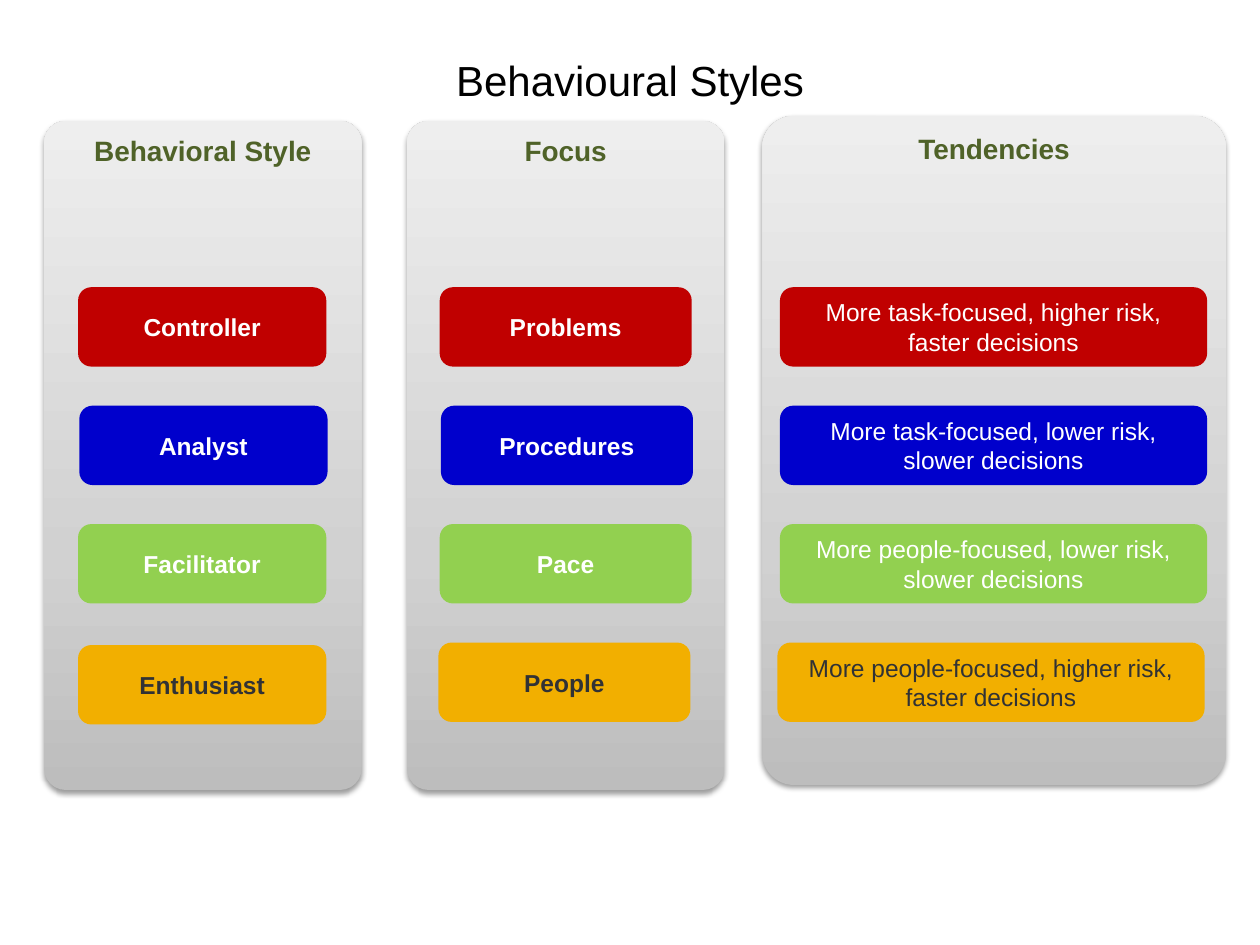
from copy import deepcopy
from typing import NamedTuple

from lxml.etree import SubElement
from pptx import Presentation
from pptx.dml.color import RGBColor
from pptx.enum.shapes import MSO_SHAPE
from pptx.enum.text import MSO_ANCHOR, PP_ALIGN
from pptx.oxml.ns import qn
from pptx.util import Inches, Pt

UNIT = Inches(0.1)
COLS, ROWS = 100, 75
FIRST, PITCH, HIGH = 22.8, 9.4, 6.3

BLACK = RGBColor(0x00, 0x00, 0x00)
WHITE = RGBColor(0xFF, 0xFF, 0xFF)
DARK = RGBColor(0x31, 0x32, 0x35)
OLIVE = RGBColor(0x4F, 0x62, 0x28)
RED = RGBColor(0xC0, 0x00, 0x00)
BLUE = RGBColor(0x00, 0x00, 0xCC)
GREEN = RGBColor(0x92, 0xD0, 0x50)
AMBER = RGBColor(0xF2, 0xAF, 0x00)
GREYS = (
    (0, RGBColor(0xBD, 0xBD, 0xBD)),
    (0.35, RGBColor(0xD1, 0xD1, 0xD1)),
    (1, RGBColor(0xEE, 0xEE, 0xEE)),
)


class Box(NamedTuple):
    left: float
    top: float
    width: float
    height: float


class Style(NamedTuple):
    fill: RGBColor
    ink: RGBColor


class Panel(NamedTuple):
    head: str
    box: Box
    left: float
    width: float
    bold: bool
    cards: tuple[str, ...]
    shifts: dict[int, tuple[float, float]]


STYLES = (Style(RED, WHITE), Style(BLUE, WHITE), Style(GREEN, WHITE), Style(AMBER, DARK))

PANELS = (
    Panel("Behavioral Style", Box(3.5, 9.6, 25.2, 53.1), 6.2, 19.7, True,
          ("Controller", "Analyst", "Facilitator", "Enthusiast"),
          {1: (0.1, 0), 3: (0, 0.2)}),
    Panel("Focus", Box(32.3, 9.6, 25.2, 53.1), 34.9, 20, True,
          ("Problems", "Procedures", "Pace", "People"),
          {1: (0.1, 0), 3: (-0.1, 0)}),
    Panel("Tendencies", Box(60.5, 9.2, 36.8, 53.1), 61.9, 33.9, False,
          ("More task-focused, higher risk, faster decisions",
           "More task-focused, lower risk, slower decisions",
           "More people-focused, lower risk, slower decisions",
           "More people-focused, higher risk, faster decisions"),
          {3: (-0.2, 0)}),
)


def place(box: Box) -> list[int]:
    return [round(n * UNIT) for n in box]


def write(shape, text: str, size: int, ink: RGBColor, bold: bool, anchor) -> None:
    frame = shape.text_frame
    frame.text = text
    frame.word_wrap = True
    frame.vertical_anchor = anchor
    line = frame.paragraphs[0]
    line.alignment = PP_ALIGN.CENTER
    line.font.name = "Arial"
    line.font.size = Pt(size)
    line.font.bold = bold
    line.font.color.rgb = ink


def add_round(slide, box: Box):
    shape = slide.shapes.add_shape(MSO_SHAPE.ROUNDED_RECTANGLE, *place(box))
    shape.shadow.inherit = False
    shape.line.fill.background()
    return shape


def shade(shape) -> None:
    shape.fill.gradient()
    shape.fill.gradient_angle = 90
    stops = shape._element.spPr.find(".//" + qn("a:gsLst"))
    stops.insert(1, deepcopy(stops[0]))
    for stop, (spot, grey) in zip(shape.fill.gradient_stops, GREYS):
        stop.position = spot
        stop.color.rgb = grey


def cast(shape) -> None:
    effects = shape._element.spPr.find(qn("a:effectLst"))
    shadow = SubElement(effects, qn("a:outerShdw"), blurRad=str(Pt(3.1)),
                        dist=str(Pt(1.6)), dir="5400000", rotWithShape="0")
    tone = SubElement(shadow, qn("a:srgbClr"), val=str(BLACK))
    SubElement(tone, qn("a:alpha"), val="38000")


def draw(slide, panel: Panel) -> None:
    back = add_round(slide, panel.box)
    back.adjustments[0] = 0.068
    shade(back)
    cast(back)
    write(back, panel.head, 16, OLIVE, True, MSO_ANCHOR.TOP)
    for row, (text, style) in enumerate(zip(panel.cards, STYLES)):
        right, down = panel.shifts.get(row, (0, 0))
        top = FIRST + row * PITCH + down
        card = add_round(slide, Box(panel.left + right, top, panel.width, HIGH))
        card.fill.solid()
        card.fill.fore_color.rgb = style.fill
        write(card, text, 14, style.ink, panel.bold, MSO_ANCHOR.MIDDLE)


def main() -> None:
    deck = Presentation()
    deck.slide_width = COLS * UNIT
    deck.slide_height = ROWS * UNIT
    slide = deck.slides.add_slide(deck.slide_layouts[5])
    title = slide.shapes.title
    title.left, title.top, title.width, title.height = place(Box(5, 3, 90, 6.6))
    write(title, "Behavioural Styles", 24, BLACK, False, MSO_ANCHOR.MIDDLE)
    for panel in PANELS:
        draw(slide, panel)
    deck.save("out.pptx")


if __name__ == "__main__":
    main()
